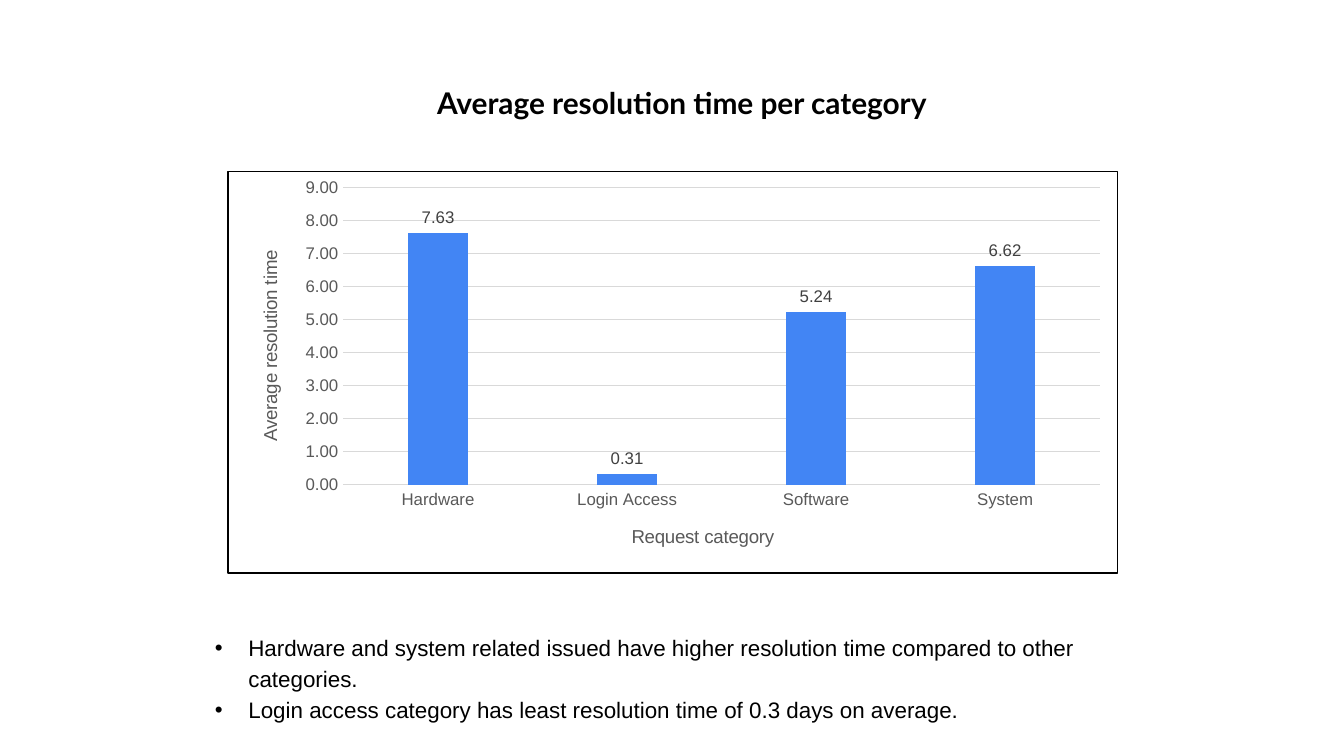
from dataclasses import dataclass

from lxml import etree
from pptx import Presentation
from pptx.chart.data import CategoryChartData
from pptx.dml.color import RGBColor
from pptx.enum import chart as ch, text
from pptx.oxml import parse_xml
from pptx.oxml.ns import nsdecls, qn
from pptx.util import Inches, Pt

BLACK, GREY, GRID = "000000", "595959", "D9D9D9"


@dataclass
class Box:
    left: float
    top: float
    width: float
    height: float

    def lengths(self) -> list:
        return [Inches(v) for v in (self.left, self.top, self.width, self.height)]


def color(hex_code: str) -> RGBColor:
    return RGBColor.from_string(hex_code)


def style(font, size: float, hex_code: str, name: str = "Arial", bold: bool = False) -> None:
    font.size, font.name, font.bold = Pt(size), name, bold
    font.color.rgb = color(hex_code)


def add_text(s, box: Box, lines: list[str], *, size: float, name: str = "Arial",
             bold: bool = False, align=text.PP_ALIGN.LEFT, spacing: float = 1.15,
             margin: float = 0, indent: float = 0, bullet: str = "") -> None:
    tf = s.shapes.add_textbox(*box.lengths()).text_frame
    tf.word_wrap = True
    for i, line in enumerate(lines):
        p = tf.add_paragraph() if i else tf.paragraphs[0]
        p.alignment, p.line_spacing = align, spacing
        pPr = p._p.get_or_add_pPr()
        pPr.set("marL", str(Inches(margin)))
        pPr.set("indent", str(Inches(indent)))
        if bullet:
            etree.SubElement(pPr, qn("a:buFont")).set("typeface", "Arial")
            etree.SubElement(pPr, qn("a:buChar")).set("char", bullet)
        r = p.add_run()
        r.text = line
        style(r.font, size, BLACK, name, bold)


def set_layout(element, index: int, target: str = "", **fractions: float) -> None:
    """Place a chart part at fractions of the chart's width and height."""
    for old in element.findall(qn("c:layout")):
        element.remove(old)
    inner = f'<c:layoutTarget val="{target}"/>' if target else ""
    inner += "".join(f'<c:{k}Mode val="edge"/>' for k in "xy")
    inner += "".join(f'<c:{k} val="{v}"/>' for k, v in fractions.items())
    element.insert(index, parse_xml(
        f'<c:layout {nsdecls("c")}><c:manualLayout>{inner}</c:manualLayout></c:layout>'))


def format_axis(axis, title: str, x: float, y: float) -> None:
    axis.major_tick_mark = axis.minor_tick_mark = ch.XL_TICK_MARK.NONE
    style(axis.tick_labels.font, 9, GREY)
    p = axis.axis_title.text_frame.paragraphs[0]
    r = p.add_run()
    r.text = title
    style(r.font, 10, GREY)
    set_layout(axis.axis_title._element, 1, x=x, y=y)


def add_border(chart, hex_code: str, width: float) -> None:
    chart._chartSpace.find(qn("c:chart")).addnext(parse_xml(
        f'<c:spPr {nsdecls("c", "a")}><a:noFill/><a:ln w="{Pt(width)}"><a:solidFill>'
        f'<a:srgbClr val="{hex_code}"/></a:solidFill></a:ln></c:spPr>'))


def add_resolution_chart(s, box: Box, times: dict[str, float]) -> None:
    data = CategoryChartData(number_format="0.00")
    data.categories = list(times)
    data.add_series("Series 1", list(times.values()))
    chart = s.shapes.add_chart(
        ch.XL_CHART_TYPE.COLUMN_CLUSTERED, *box.lengths(), data).chart
    chart.has_title = chart.has_legend = False
    style(chart.font, 10, BLACK)
    add_border(chart, BLACK, 0.75)

    plot = chart.plots[0]
    plot.vary_by_categories = False
    plot.gap_width, plot.overlap = 219, -27
    series = plot.series[0]
    series.format.fill.solid()
    series.format.fill.fore_color.rgb = color("4285F4")
    labels = series.data_labels
    labels.show_value = True
    labels.position = ch.XL_LABEL_POSITION.OUTSIDE_END
    labels.number_format, labels.number_format_is_linked = "0.00", False
    style(labels.font, 9, "404040")

    cat, val = chart.category_axis, chart.value_axis
    format_axis(cat, "Request category", 0.45, 0.87)
    format_axis(val, "Average resolution time", 0.03, 0.19)
    val.minimum_scale, val.maximum_scale, val.major_unit = 0, 9, 1
    val.tick_labels.number_format = "0.00"
    val.tick_labels.number_format_is_linked = False
    val.format.line.fill.background()
    for line in (cat.format.line, val.major_gridlines.format.line):
        line.color.rgb = color(GRID)
        line.width = Pt(0.75)
    set_layout(chart._chartSpace.chart.plotArea, 0, "inner",
               x=0.13, y=0.04, w=0.85, h=0.74)


def main() -> None:
    prs = Presentation()
    prs.slide_width = Inches(10)
    prs.slide_height = prs.slide_width * 9 // 16
    s = prs.slides.add_slide(prs.slide_layouts[6])
    add_text(s, Box(1.5, 0.54, 7, 0.38), ["Average resolution time per category"],
             size=16, name="Lato", bold=True, align=text.PP_ALIGN.CENTER,
             spacing=1.14, margin=0.15)
    add_resolution_chart(s, Box(1.69, 1.27, 6.63, 3), {
        "Hardware": 7.63, "Login Access": 0.31, "Software": 5.24, "System": 6.62})
    add_text(s, Box(1.5, 4.64, 7, 0.71), [
        "Hardware and system related issued have higher resolution time compared to other categories.",
        "Login access category has least resolution time of 0.3 days on average.",
    ], size=12, margin=0.25, indent=-0.25, bullet="•")
    prs.save("out.pptx")


if __name__ == "__main__":
    main()
